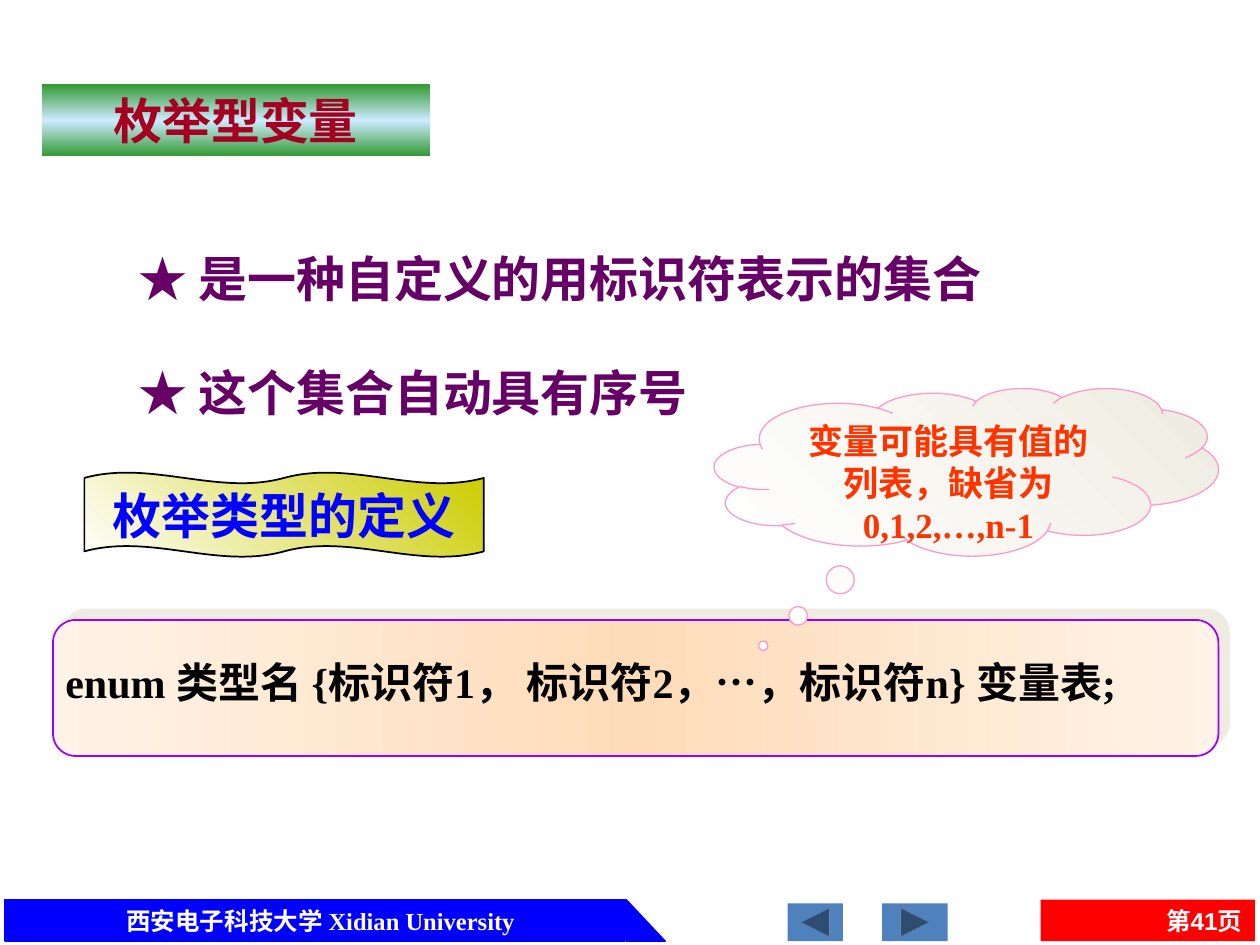
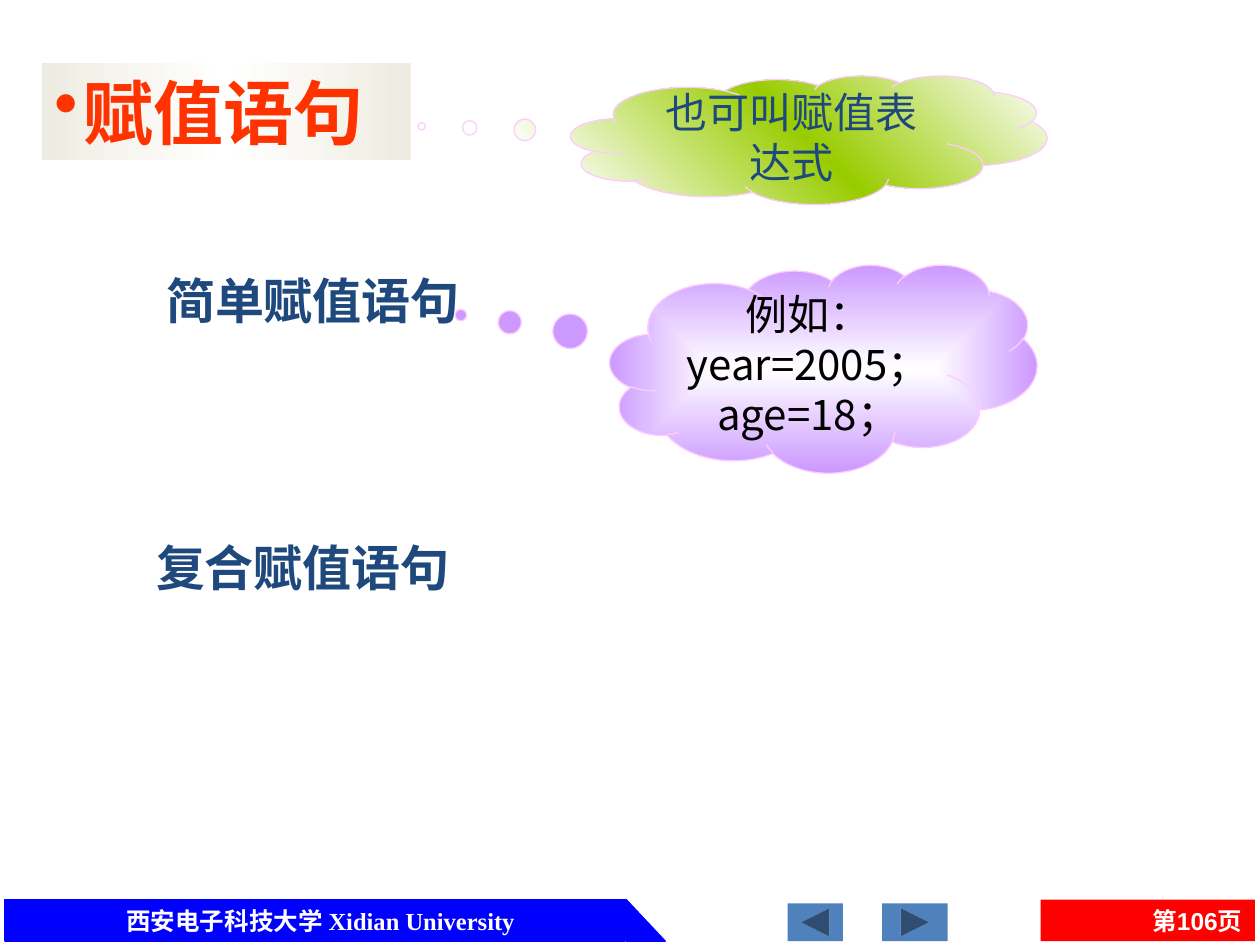
from pptx import Presentation
from pptx.dml.color import RGBColor
from pptx.enum.shapes import MSO_SHAPE
from pptx.enum.text import MSO_ANCHOR, MSO_AUTO_SIZE, PP_ALIGN
from pptx.oxml import parse_xml
from pptx.oxml.ns import nsdecls, qn
from pptx.util import Inches, Pt

SERIF, SANS, CHINESE, ROBOTO = "Times New Roman", "Arial", "Noto Sans CJK SC", "Roboto"
BLUE, RED, WHITE, BLACK = "0000FF", "FF0000", "FFFFFF", "000000"
BUTTON, NAVY, PURPLE, ORANGE, CREAM = "4F81BD", "1F497D", "660066", "FF3300", "EEECE1"
LEFT, CENTER, RIGHT = PP_ALIGN.LEFT, PP_ALIGN.CENTER, PP_ALIGN.RIGHT
TOP, MIDDLE = MSO_ANCHOR.TOP, MSO_ANCHOR.MIDDLE

FOOTER_TOP, FOOTER_HEIGHT = 7.14, 0.33
UNIVERSITY = "西安电子科技大学 Xidian University"
BUTTONS = [((7, 7.17, 0.52, 0.3), 0), ((6.25, 7.17, 0.44, 0.3), 180)]

ENUM_SLIDE = {
    "page": 41,
    "title": dict(text="枚举型变量", box=(0.33, 0.67, 3.08, 0.57), size=28, color="A50021",
                  align=CENTER, stops=["339933", "CCECFF", "339933"], angle=90),
    "labels": [
        dict(text="★ 是一种自定义的用标识符表示的集合", box=(1, 1.92, 7.54, 0.57), color=PURPLE, name=CHINESE),
        dict(text="★ 这个集合自动具有序号", box=(1, 2.83, 7.54, 0.57), color=PURPLE, name=CHINESE),
    ],
    "shapes": [
        dict(kind=MSO_SHAPE.DOUBLE_WAVE, box=(0.67, 3.75, 3.17, 0.67), adjustments=[0.065, 0],
             stops=[WHITE, "CCCC00"], angle=315, line=(BLACK, 1), lines=["枚举类型的定义"],
             style=dict(size=28, color=BLUE, name=ROBOTO, bold=True, align=CENTER, wrap=False)),
        dict(kind=MSO_SHAPE.ROUNDED_RECTANGLE, box=(0.42, 4.92, 9.25, 1.08), adjustments=[0.167],
             stops=["FFF3E7", "FFDCB9", "FFF3E7"], angle=0, line=("9900FF", 1), shadow=CREAM,
             caption=dict(text="enum 类型名 {标识符1， 标识符2，…，标识符n} 变量表;",
                          box=(0.42, 5.16, 9.06, 0.5), color=BLACK, size=24)),
        dict(kind=MSO_SHAPE.CLOUD_CALLOUT, box=(5.67, 3.08, 4, 1.33), adjustments=[-0.403, 1.038],
             stops=[WHITE, CREAM], angle=315, line=("FF99CC", 0.75),
             lines=["变量可能具有值的列表，缺省为0,1,2,…,n-1"],
             style=dict(size=20, color=ORANGE, bold=True, align=CENTER, anchor=TOP)),
    ],
}

ASSIGNMENT_SLIDE = {
    "page": 106,
    "title": dict(text="赋值语句", box=(0.33, 0.5, 2.93, 0.77), size=40, color=ORANGE,
                  align=LEFT, bullet="•", stops=[CREAM, WHITE, CREAM], angle=0),
    "labels": [
        dict(text="简单赋值语句", box=(1.22, 2.1, 2.99, 0.57), color=NAVY),
        dict(text="复合赋值语句", box=(1.14, 4.22, 2.99, 0.57), color=NAVY),
    ],
    "shapes": [
        dict(kind=MSO_SHAPE.CLOUD_CALLOUT, box=(4.53, 0.6, 3.78, 1.02), adjustments=[-0.813, -0.106],
             stops=[WHITE, "99CC00", WHITE], angle=315, line=("FFCCFF", 0.75),
             lines=["也可叫赋值表达式"],
             style=dict(size=24, color=NAVY, name=CHINESE, align=CENTER)),
        dict(kind=MSO_SHAPE.CLOUD_CALLOUT, box=(4.84, 2.1, 3.39, 1.65), adjustments=[-0.849, -0.257],
             stops=[WHITE, "CC99FF"], angle=None, line=("FFCCFF", 0.75),
             lines=["例如：", "year=2005；", "age=18；"],
             style=dict(size=24, color=BLACK, name=CHINESE, align=CENTER)),
    ],
}


def rgb(color):
    return RGBColor.from_string(color)


def inches(box):
    return [Inches(length) for length in box]


def fill_gradient(shape, colors, angle):
    stops = "".join(
        f'<a:gs pos="{100000 * index // (len(colors) - 1)}"><a:srgbClr val="{color}"/></a:gs>'
        for index, color in enumerate(colors))
    if angle is None:
        direction = '<a:path path="rect"><a:fillToRect l="50000" t="50000" r="50000" b="50000"/></a:path>'
    else:
        direction = f'<a:lin ang="{angle * 60000}" scaled="1"/>'
    shape.fill.gradient()
    properties = shape._element.spPr
    properties.replace(properties.find(qn("a:gradFill")), parse_xml(
        f'<a:gradFill {nsdecls("a")} rotWithShape="1"><a:gsLst>{stops}</a:gsLst>{direction}</a:gradFill>'))


def add_shadow(shape, color):
    shape._element.spPr.find(qn("a:effectLst")).append(parse_xml(
        f'<a:outerShdw {nsdecls("a")} dist="{Pt(8.5)}" dir="18900000" algn="ctr" rotWithShape="0">'
        f'<a:srgbClr val="{color}"/></a:outerShdw>'))


def write(shape, lines, size, color, name=SERIF, bold=False, align=LEFT,
          anchor=MIDDLE, wrap=True, bullet=None):
    frame = shape.text_frame
    frame.text = "\n".join(lines)
    frame.auto_size = MSO_AUTO_SIZE.NONE
    frame.word_wrap = wrap
    frame.vertical_anchor = anchor
    for paragraph in frame.paragraphs:
        paragraph.alignment = align
        properties = paragraph._p.get_or_add_pPr()
        if bullet:
            properties.append(parse_xml(f'<a:buChar {nsdecls("a")} char="{bullet}"/>'))
        font = paragraph.font
        font.size, font.bold, font.name = Pt(size), bold, name
        font.color.rgb = rgb(color)
        properties.find(qn("a:defRPr")).append(
            parse_xml(f'<a:ea {nsdecls("a")} typeface="{CHINESE}"/>'))


def add_shape(slide, kind, box, color=None, line=None):
    shape = slide.shapes.add_shape(kind, *inches(box))
    shape.shadow.inherit = False
    if color:
        shape.fill.solid()
        shape.fill.fore_color.rgb = rgb(color)
    if line:
        shape.line.color.rgb = rgb(line[0])
        shape.line.width = Pt(line[1])
    else:
        shape.line.fill.background()
    return shape


def add_label(slide, text, box, color, size=28, name=SERIF, align=LEFT):
    label = slide.shapes.add_textbox(*inches(box))
    write(label, [text], size, color, name, True, align, TOP)


def add_footer(slide, page):
    for kind, left, width in [(MSO_SHAPE.RECTANGLE, 0.04, 4.92), (MSO_SHAPE.RIGHT_TRIANGLE, 4.97, 0.31)]:
        add_shape(slide, kind, (left, FOOTER_TOP, width, FOOTER_HEIGHT), BLUE, (BLUE, 0.75))
    add_label(slide, UNIVERSITY, (0.33, FOOTER_TOP, 4.43, FOOTER_HEIGHT), WHITE, 14, align=CENTER)
    page_band = add_shape(slide, MSO_SHAPE.RECTANGLE, (8.26, FOOTER_TOP, 1.7, FOOTER_HEIGHT), RED)
    write(page_band, [f"第{page}页"], 14, WHITE, SANS, True, RIGHT)
    for box, rotation in BUTTONS:
        button = add_shape(slide, MSO_SHAPE.ACTION_BUTTON_FORWARD_OR_NEXT, box, BUTTON)
        button.rotation = rotation


def set_title(slide, text, box, size, color, align, stops, angle, bullet=None):
    title = slide.shapes.title
    title.left, title.top, title.width, title.height = inches(box)
    fill_gradient(title, stops, angle)
    write(title, [text], size, color, bold=True, align=align, bullet=bullet)


def add_gradient_shape(slide, kind, box, adjustments, stops, angle, line,
                       lines=None, style=None, shadow=None, caption=None):
    shape = add_shape(slide, kind, box, line=line)
    for index, value in enumerate(adjustments):
        shape.adjustments[index] = value
    fill_gradient(shape, stops, angle)
    if shadow:
        add_shadow(shape, shadow)
    if lines:
        write(shape, lines, **style)
    if caption:
        add_label(slide, **caption)


def build_slide(presentation, content):
    slide = presentation.slides.add_slide(presentation.slide_layouts[5])
    add_footer(slide, content["page"])
    set_title(slide, **content["title"])
    for label in content["labels"]:
        add_label(slide, **label)
    for shape in content["shapes"]:
        add_gradient_shape(slide, **shape)


def main():
    presentation = Presentation()
    presentation.slide_width, presentation.slide_height = Inches(10), Inches(7.5)
    for content in (ENUM_SLIDE, ASSIGNMENT_SLIDE):
        build_slide(presentation, content)
    presentation.save("out.pptx")


if __name__ == "__main__":
    main()
